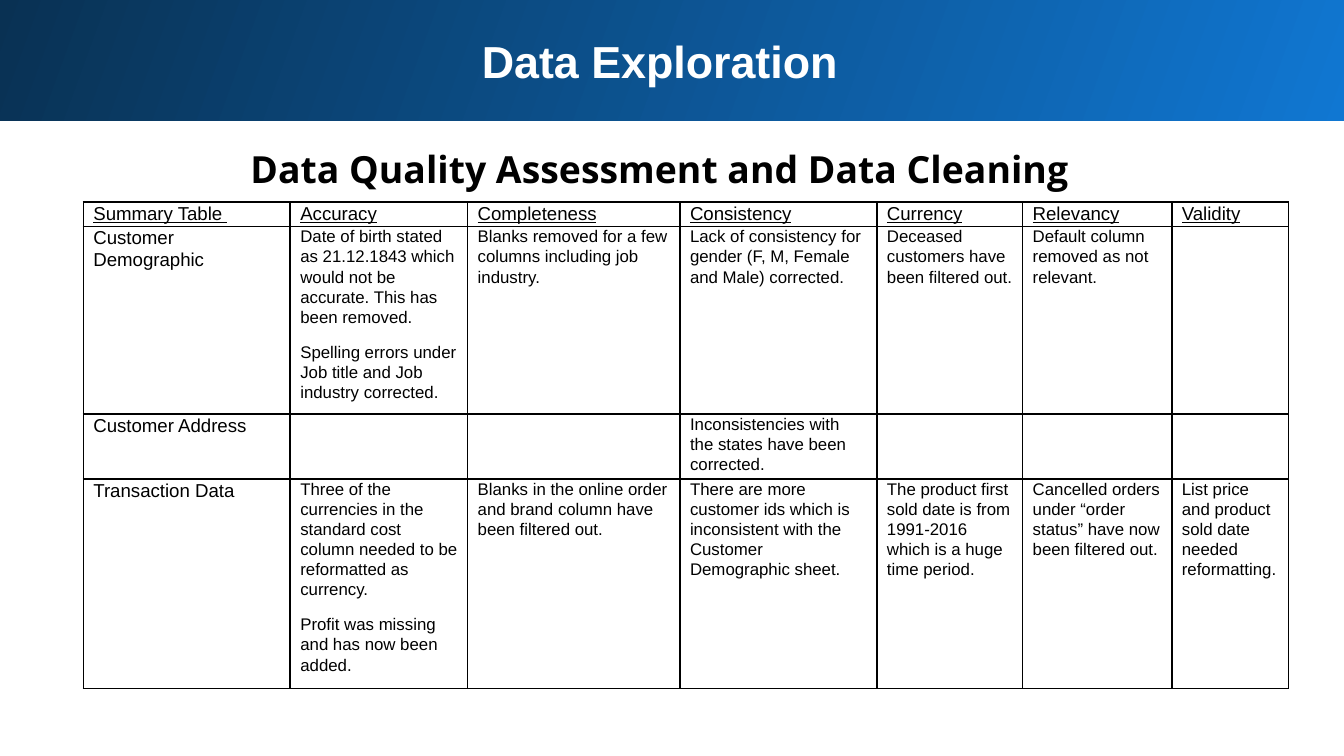
from lxml import etree
from pptx import Presentation, util as u
from pptx.dml.color import RGBColor
from pptx.enum import shapes, text
from pptx.oxml import ns

BLACK = RGBColor(0, 0, 0)
WHITE = RGBColor(255, 255, 255)
BLUE = RGBColor(0x10, 0x77, 0xD2)
NAVY = RGBColor(0x09, 0x31, 0x53)

UNIT = u.Inches(0.01)
WIDE, HIGH = 1000, 562.5
COLS = [154, 132, 158, 146.5, 108.5, 111, 87]
ROWS = [18, 139, 48, 156]
HEADS = ["Summary Table ", "Accuracy", "Completeness", "Consistency",
         "Currency", "Relevancy", "Validity"]
BODY = [
    ["Customer Demographic",
     "Date of birth stated as 21.12.1843 which would not be accurate. "
     "This has been removed.\n"
     "Spelling errors under Job title and Job industry corrected.",
     "Blanks removed for a few columns including job industry.",
     "Lack of consistency for gender (F, M, Female and Male) corrected.",
     "Deceased customers have been filtered out.",
     "Default column removed as not relevant.",
     ""],
    ["Customer Address", "", "",
     "Inconsistencies with the states have been corrected.", "", "", ""],
    ["Transaction Data",
     "Three of the currencies in the standard cost column needed to be "
     "reformatted as currency.\n"
     "Profit was missing and has now been added.",
     "Blanks in the online order and brand column have been filtered out.",
     "There are more customer ids which is inconsistent with the "
     "Customer Demographic sheet.",
     "The product first sold date is from 1991-2016 which is a huge "
     "time period.",
     "Cancelled orders under “order status” have now been filtered out.",
     "List price and product sold date needed reformatting."],
]


def cells(count):
    """Turn a count of grid cells into a length."""
    return u.Emu(round(count * UNIT))


def grid(box):
    """Turn a box in grid columns and rows into slide lengths."""
    return [cells(n) for n in box]


def add_run(para, words, size, face="Arial", color=BLACK, bold=False, under=False):
    """Add one styled run to a paragraph."""
    run = para.add_run()
    run.text = words
    font = run.font
    font.size, font.name = u.Pt(size), face
    font.bold, font.underline = bold, under
    font.color.rgb = color


def add_title(slide, box, words, size, face, color, lead=1.0):
    """Place a centred bold line in the box."""
    frame = slide.shapes.add_textbox(*grid(box)).text_frame
    frame.word_wrap = True
    frame.margin_left = frame.margin_right = cells(10)
    frame.margin_top = frame.margin_bottom = cells(10)
    para = frame.paragraphs[0]
    para.alignment = text.PP_ALIGN.CENTER
    para.line_spacing = lead
    add_run(para, words, size, face, color, bold=True)


def add_band(slide, box):
    """Fill the box with the blue gradient band."""
    band = slide.shapes.add_shape(shapes.MSO_SHAPE.RECTANGLE, *grid(box))
    band.shadow.inherit = False
    band.line.fill.background()
    band.fill.gradient()
    band.fill.gradient_angle = 160
    for stop, color, spot in zip(band.fill.gradient_stops, (BLUE, NAVY), (0, 1)):
        stop.color.rgb = color
        stop.position = spot


def add_edges(cell):
    """Draw a thin black line on each side of a cell."""
    props = cell._tc.get_or_add_tcPr()
    for spot, side in enumerate("LRTB"):
        line = etree.Element(ns.qn("a:ln" + side), w=str(u.Pt(1)))
        fill = etree.SubElement(line, ns.qn("a:solidFill"))
        etree.SubElement(fill, ns.qn("a:srgbClr"), val=str(BLACK))
        props.insert(spot, line)


def fill_cell(cell, words, label, head):
    """Write the paragraphs of one cell and style it."""
    cell.fill.background()
    cell.margin_left = cell.margin_right = cells(7.5)
    cell.margin_top = cell.margin_bottom = 0
    add_edges(cell)
    size = 10 if label else 9
    frame = cell.text_frame
    for spot, part in enumerate(words.split("\n")):
        para = frame.add_paragraph() if spot else frame.paragraphs[0]
        para.line_spacing = 1.07
        para.space_after = u.Pt(8)
        para.font.size = u.Pt(size)
        if label:
            para.alignment = text.PP_ALIGN.JUSTIFY
        if part:
            add_run(para, part, size, under=head)


def add_summary(slide, box):
    """Place the data quality table in the box."""
    data = [HEADS] + BODY
    table = slide.shapes.add_table(len(ROWS), len(COLS), *grid(box)).table
    table.first_row = table.horz_banding = False
    for col, width in zip(table.columns, COLS):
        col.width = cells(width)
    for r, (row, height) in enumerate(zip(table.rows, ROWS)):
        row.height = cells(height)
        for c, cell in enumerate(row.cells):
            fill_cell(cell, data[r][c], r == 0 or c == 0, r == 0)


def main():
    """Build and save the slide."""
    deck = Presentation()
    deck.slide_width, deck.slide_height = grid((WIDE, HIGH))
    slide = deck.slides.add_slide(deck.slide_layouts[6])
    add_band(slide, (-2, -2, 1005, 92))
    add_title(slide, (22.4, 15.4, 937, 61), "Data Exploration", 24, "Arial", WHITE)
    add_title(slide, (22.4, 94, 937, 56),
              "Data Quality Assessment and Data Cleaning",
              20, "Open Sans", BLACK, 1.15)
    add_summary(slide, (62, 150.4, sum(COLS), sum(ROWS)))
    deck.save("out.pptx")


if __name__ == "__main__":
    main()
